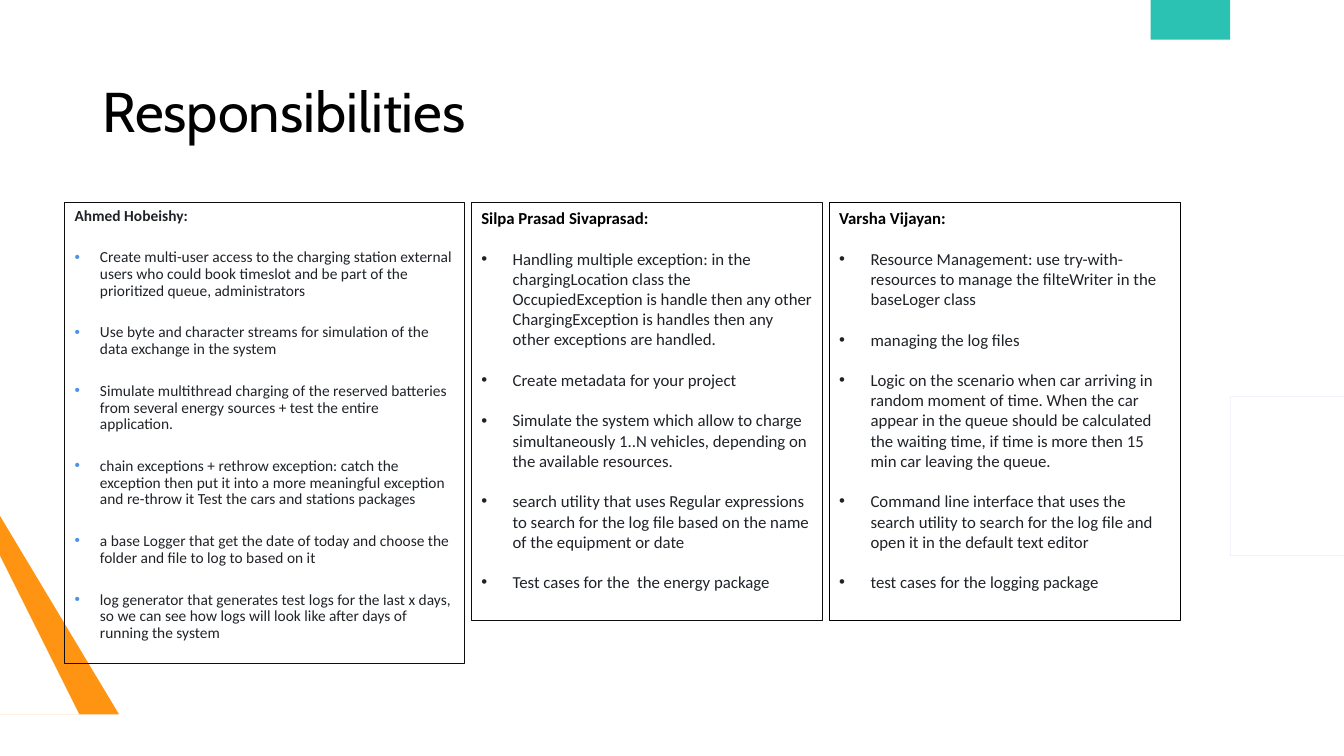
"""Build the Responsibilities slide with three task boxes."""
import pptx
import pptx.dml.color
import pptx.enum.shapes
import pptx.enum.text
import pptx.oxml.ns
import pptx.util
from lxml import etree

Cm, Pt = pptx.util.Cm, pptx.util.Pt
TEXT = "1F2328"

TITLE = "Responsibilities"
BOXES = [
    dict(left=1.63, width=10.08, height=11.61, size=11, lead=0.9, gap=18, indent=0.64,
         head="1F2328", edge="0D0D0D", dot="4D90EF", name="Ahmed Hobeishy:", tasks=[
             "Create multi-user access to the charging station external users who could book timeslot and be part of the prioritized queue, administrators",
             "Use byte and character streams for simulation of the data exchange in the system",
             "Simulate multithread charging of the reserved batteries from several energy sources + test the entire application.",
             "chain exceptions + rethrow exception: catch the exception then put it into a more meaningful exception and re-throw it Test the cars and stations packages",
             "a base Logger that get the date of today and choose the folder and file to log to based on it",
             "log generator that generates test logs for the last x days, so we can see how logs will look like after days of running the system",
         ]),
    dict(left=11.88, width=8.85, height=10.52, size=12, lead=1.0, gap=14.6, indent=0.79,
         head="000000", edge="0D0D0D", dot=TEXT, name="Silpa Prasad Sivaprasad:", tasks=[
             "Handling multiple exception: in the chargingLocation class the OccupiedException is handle then any other ChargingException is handles then any other exceptions are handled.",
             "Create metadata for your project",
             "Simulate the system which allow to charge simultaneously 1..N vehicles, depending on the available resources.",
             "search utility that uses Regular expressions to search for the log file based on the name of the equipment or date",
             "Test cases for the  the energy package",
         ]),
    dict(left=20.9, width=8.85, height=10.52, size=12, lead=1.0, gap=14.6, indent=0.79,
         head="000000", edge="000000", dot=TEXT, name="Varsha Vijayan:", tasks=[
             "Resource Management: use try-with-resources to manage the filteWriter in the baseLoger class",
             "managing the log files",
             "Logic on the scenario when car arriving in random moment of time. When the car appear in the queue should be calculated the waiting time, if time is more then 15 min car leaving the queue.",
             "Command line interface that uses the search utility to search for the log file and open it in the default text editor",
             "test cases for the logging package",
         ]),
]
TOP = 5.11

# Two numbers draw a line to a point; six numbers draw a cubic curve.
DECOR = [
    ("FF9413", [(0.03, 18.03), (0.03, 17.7), (2.21, 17.7), (0.03, 13.89), (0.03, 13.21),
                (2.67, 17.78), (2.67, 17.81, 2.69, 17.83, 2.69, 17.86),
                (2.69, 17.96, 2.62, 18.03, 2.51, 18.03)]),
    ("2BC2B4", [(29.16, 0), (31.52, 0), (31.5, 0.03),
                (31.39, 0.56, 30.91, 0.99, 30.33, 0.99),
                (29.74, 0.99, 29.26, 0.56, 29.16, 0.03)]),
    ("C097F8", [(31.01, 14.3), (33.86, 14.3), (33.86, 13.97), (31.17, 13.97),
                (31.17, 10.11), (33.86, 10.11), (33.86, 9.8), (31.01, 9.8),
                (30.94, 9.8, 30.86, 9.86, 30.86, 9.96), (30.86, 14.12),
                (30.86, 14.22, 30.94, 14.3, 31.01, 14.3)]),
]


def color(code):
    return pptx.dml.color.RGBColor.from_string(code)


def trace(steps, count=16):
    points = [steps[0]]
    for step in steps[1:]:
        if len(step) == 2:
            points.append(step)
            continue
        ends = [points[-1], step[:2], step[2:4], step[4:]]
        for k in range(1, count + 1):
            t = k / count
            parts = [(1 - t) ** 3, 3 * t * (1 - t) ** 2, 3 * t * t * (1 - t), t ** 3]
            points.append(tuple(sum(w * p[axis] for w, p in zip(parts, ends))
                                for axis in (0, 1)))
    return points


def draw(slide, fill, steps):
    points = trace(steps)
    form = slide.shapes.build_freeform(*points[0], scale=Cm(1))
    form.add_line_segments(points[1:], close=True)
    shape = form.convert_to_shape()
    shape.shadow.inherit = False
    shape.fill.solid()
    shape.fill.fore_color.rgb = color(fill)
    shape.line.fill.background()


def style(para, name, size, code, bold=False):
    for run in para.runs:
        run.font.name = name
        run.font.size = Pt(size)
        run.font.bold = bold
        run.font.color.rgb = color(code)


def bullet(para, indent, code):
    props = para._p.get_or_add_pPr()
    props.set("marL", str(Cm(indent)))
    props.set("indent", str(-Cm(indent)))
    qn = pptx.oxml.ns.qn
    tint = etree.SubElement(props, qn("a:buClr"))
    etree.SubElement(tint, qn("a:srgbClr")).set("val", code)
    etree.SubElement(props, qn("a:buFont")).set("typeface", "Arial")
    etree.SubElement(props, qn("a:buChar")).set("char", "•")


def add_box(slide, box):
    shape = slide.shapes.add_shape(
        pptx.enum.shapes.MSO_SHAPE.RECTANGLE,
        Cm(box["left"]), Cm(TOP), Cm(box["width"]), Cm(box["height"]))
    shape.shadow.inherit = False
    shape.fill.background()
    shape.line.color.rgb = color(box["edge"])
    shape.line.width = Pt(0.75)
    frame = shape.text_frame
    frame.word_wrap = True
    frame.vertical_anchor = pptx.enum.text.MSO_ANCHOR.TOP
    frame.text = "\n".join([box["name"]] + box["tasks"])
    for k, para in enumerate(frame.paragraphs):
        para.alignment = pptx.enum.text.PP_ALIGN.LEFT
        para.line_spacing = box["lead"]
        para.space_after = Pt(box["gap"])
        style(para, "Calibri", box["size"], TEXT if k else box["head"], k == 0)
        if k:
            bullet(para, box["indent"], box["dot"])


def main():
    deck = pptx.Presentation()
    deck.slide_width, deck.slide_height = Cm(33.87), Cm(19.05)
    slide = deck.slides.add_slide(deck.slide_layouts[5])
    for fill, steps in DECOR:
        draw(slide, fill, steps)
    title = slide.shapes.title
    title.left, title.top, title.width, title.height = Cm(2.33), Cm(0.84), Cm(29.21), Cm(4.09)
    frame = title.text_frame
    frame.text = TITLE
    frame.vertical_anchor = pptx.enum.text.MSO_ANCHOR.MIDDLE
    para = frame.paragraphs[0]
    para.alignment = pptx.enum.text.PP_ALIGN.LEFT
    para.line_spacing = 0.9
    style(para, "Cabin", 40, "000000")
    for box in BOXES:
        add_box(slide, box)
    deck.save("out.pptx")


if __name__ == "__main__":
    main()
